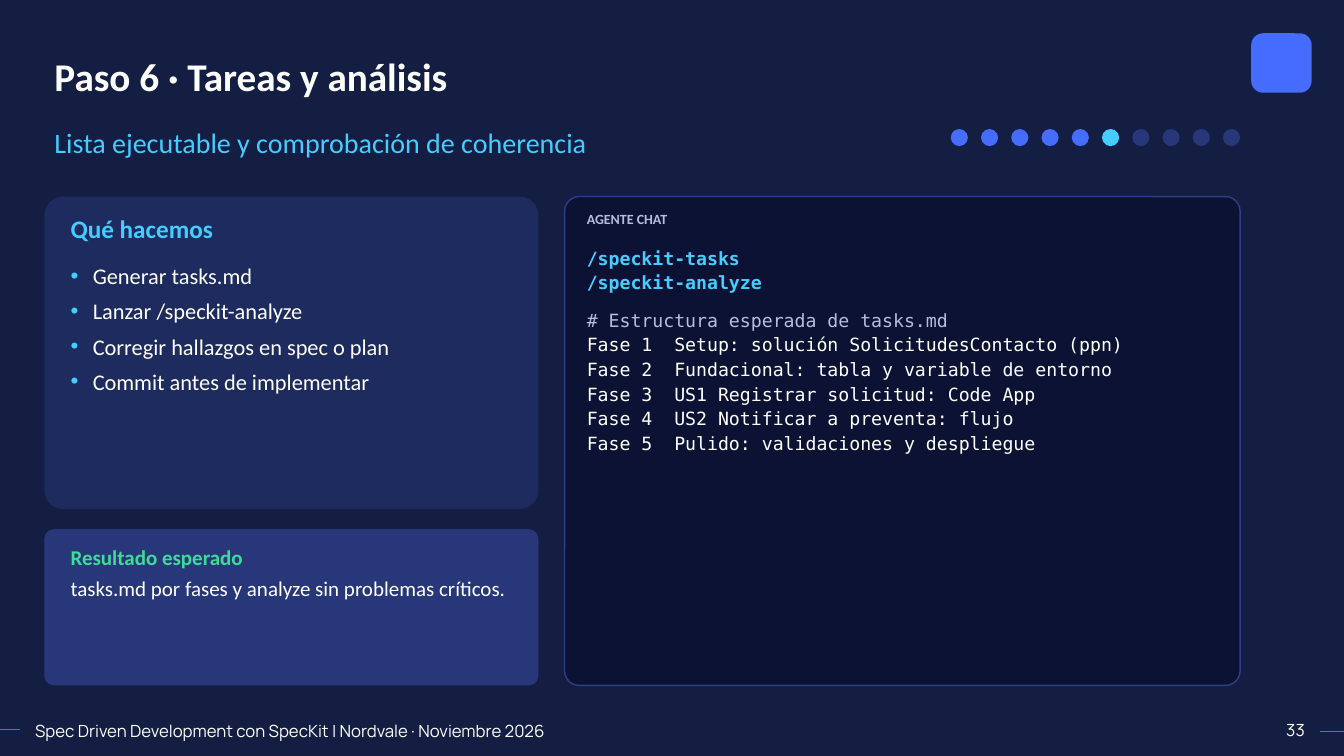
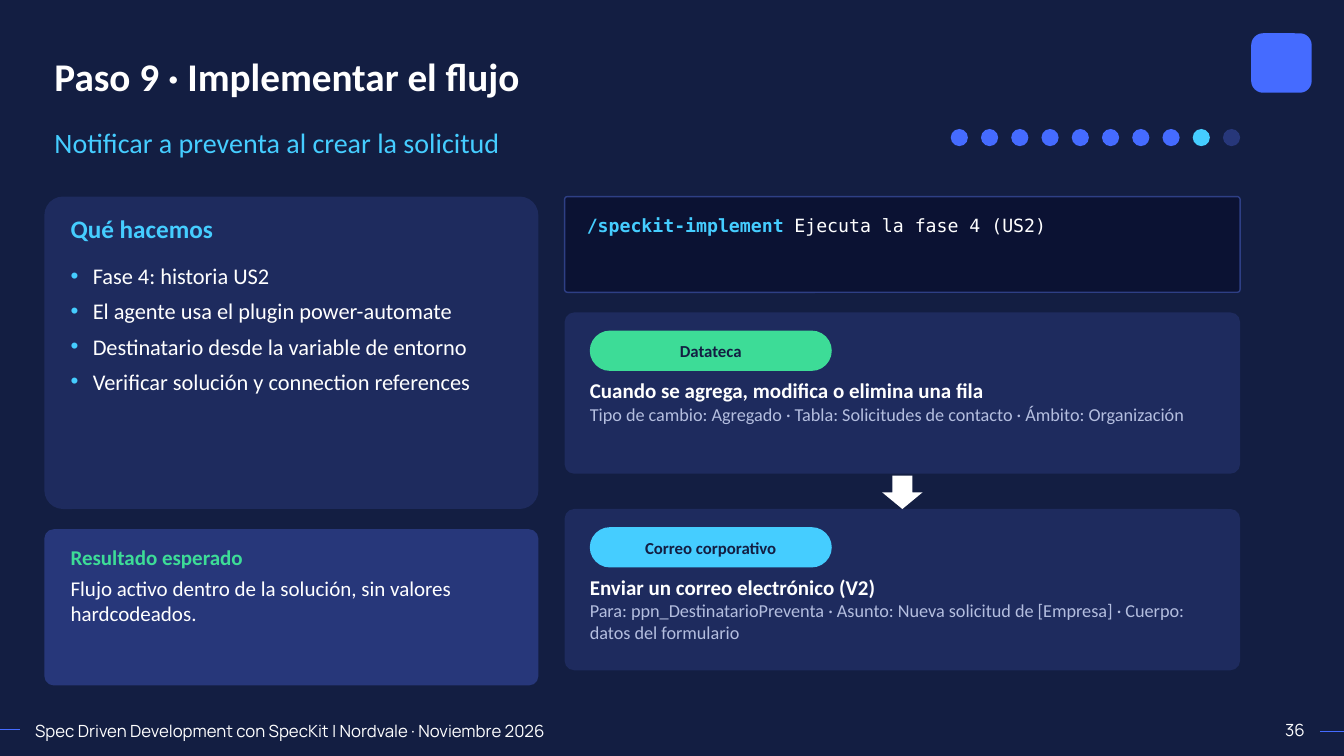
from lxml.etree import SubElement
from pptx import Presentation
from pptx.dml.color import RGBColor
from pptx.enum.shapes import MSO_CONNECTOR, MSO_SHAPE
from pptx.enum.text import MSO_ANCHOR, MSO_AUTO_SIZE, PP_ALIGN
from pptx.oxml.ns import qn
from pptx.util import Pt

PX = 9144  # 100 px to the inch
colour = RGBColor.from_string

# Palette
NIGHT, CARD, RESULT, CONSOLE, EDGE = "131E42", "1E2B5E", "27377A", "0B1233", "2E3F85"
BLUE, CYAN, GREEN, WHITE, MUTED = "456BFF", "45CDFF", "3DDC97", "FFFFFF", "B4BEDF"

# Text styles
TITLE = {"name": "Calibri", "size": 28, "color": WHITE, "bold": True}
SUBTITLE = {"name": "Calibri", "size": 20, "color": CYAN, "bold": False}
HEADING = {"name": "Calibri", "size": 18, "color": CYAN, "bold": True}
BULLET = {"name": "Calibri", "size": 16, "color": WHITE, "bold": False}
STRONG = {"name": "Calibri", "size": 15, "color": WHITE, "bold": True}
RESULT_TITLE = {**STRONG, "color": GREEN}
RESULT_TEXT = {**STRONG, "bold": False}
DETAIL = {"name": "Calibri", "size": 13, "color": MUTED, "bold": False}
PILL = {"name": "Calibri", "size": 12, "color": NIGHT, "bold": True}
CHAT_LABEL = {"name": "Calibri", "size": 10, "color": MUTED, "bold": True}
CODE = {"name": "DejaVu Sans Mono", "size": 13, "color": WHITE, "bold": False}
COMMAND = {**CODE, "color": CYAN, "bold": True}
REMARK = {**CODE, "color": MUTED}
FOOTER = {"name": "Manrope", "size": 12, "color": WHITE, "bold": False}

FOOTER_TEXT = "Spec Driven Development con SpecKit | Nordvale · Noviembre 2026"
STEP_COUNT = 10

# Slide content
STEPS = [
    {
        "step": 6,
        "number": "33",
        "title": "Paso 6 · Tareas y análisis",
        "subtitle": "Lista ejecutable y comprobación de coherencia",
        "tasks": [
            "Generar tasks.md",
            "Lanzar /speckit-analyze",
            "Corregir hallazgos en spec o plan",
            "Commit antes de implementar",
        ],
        "result": "tasks.md por fases y analyze sin problemas críticos.",
        "console_height": 485,
        "chat_label": "AGENTE CHAT",
        "code_area": (582, 245, 626, 423),
        "code": [
            ([("/speckit-tasks", COMMAND)], 2),
            ([("/speckit-analyze", COMMAND)], 11),
            ([("# Estructura esperada de tasks.md", REMARK)], 2),
            ([("Fase 1  Setup: solución SolicitudesContacto (ppn)", CODE)], 2),
            ([("Fase 2  Fundacional: tabla y variable de entorno", CODE)], 2),
            ([("Fase 3  US1 Registrar solicitud: Code App", CODE)], 2),
            ([("Fase 4  US2 Notificar a preventa: flujo", CODE)], 2),
            ([("Fase 5  Pulido: validaciones y despliegue", CODE)], 2),
        ],
        "flow": [],
    },
    {
        "step": 9,
        "number": "36",
        "title": "Paso 9 · Implementar el flujo",
        "subtitle": "Notificar a preventa al crear la solicitud",
        "tasks": [
            "Fase 4: historia US2",
            "El agente usa el plugin power-automate",
            "Destinatario desde la variable de entorno",
            "Verificar solución y connection references",
        ],
        "result": "Flujo activo dentro de la solución, sin valores hardcodeados.",
        "console_height": 95,
        "chat_label": None,
        "code_area": (582, 213, 626, 65),
        "code": [
            ([("/speckit-implement", COMMAND), (" Ejecuta la fase 4 (US2)", CODE)], 2),
        ],
        "flow": [
            ("Datateca", GREEN, "Cuando se agrega, modifica o elimina una fila",
             "Tipo de cambio: Agregado · Tabla: Solicitudes de contacto · Ámbito: Organización"),
            ("Correo corporativo", CYAN, "Enviar un correo electrónico (V2)",
             "Para: ppn_DestinatarioPreventa · Asunto: Nueva solicitud de [Empresa] · "
             "Cuerpo: datos del formulario"),
        ],
    },
]


def place(page, area, kind=None, fill=None, line=None, corner=None):
    """Add a text box, or a filled shape when a kind is given; area is in px."""
    area = [length * PX for length in area]
    if kind is None:
        return page.shapes.add_textbox(*area)
    box = page.shapes.add_shape(kind, *area)
    box.shadow.inherit = False
    box.fill.solid()
    box.fill.fore_color.rgb = colour(fill)
    if line:
        box.line.color.rgb = colour(line)
        box.line.width = Pt(1)
    else:
        box.line.fill.background()
    if corner is not None:
        box.adjustments[0] = corner
    return box


def write(box, paragraphs, margins=(0, 0, 0, 0), anchor=MSO_ANCHOR.TOP,
          align=PP_ALIGN.LEFT, bullet=None):
    """Fill a box with (spans, space after) paragraphs; a span is (text, style)."""
    frame = box.text_frame
    settings = {"word_wrap": True, "auto_size": MSO_AUTO_SIZE.NONE, "vertical_anchor": anchor}
    for side, margin in zip(("left", "top", "right", "bottom"), margins):
        settings[f"margin_{side}"] = margin * PX
    for name, value in settings.items():
        setattr(frame, name, value)
    for index, (spans, space_after) in enumerate(paragraphs):
        para = frame.add_paragraph() if index else frame.paragraphs[0]
        properties = para._p.get_or_add_pPr()
        indent = 22 * PX if bullet else 0
        properties.set("marL", str(indent))
        properties.set("indent", str(-indent))
        if bullet:
            bullet_colour = SubElement(properties, qn("a:buClr"))
            SubElement(bullet_colour, qn("a:srgbClr"), val=bullet)
            SubElement(properties, qn("a:buChar"), char="•")
        else:
            SubElement(properties, qn("a:buNone"))
        layout_values = {"alignment": align, "space_before": Pt(0), "space_after": Pt(space_after)}
        for name, value in layout_values.items():
            setattr(para, name, value)
        for text, style in spans:
            span = para.add_run()
            span.text = text
            span.font.color.rgb = colour(style["color"])
            for name, value in {**style, "size": Pt(style["size"])}.items():
                if name != "color":
                    setattr(span.font, name, value)


# Shared template: size, background and placeholder positions
deck = Presentation()
deck.slide_width, deck.slide_height = 1333 * PX, 750 * PX
background = deck.slide_master.background.fill
background.solid()
background.fore_color.rgb = colour(NIGHT)
layout = deck.slide_layouts.get_by_name("Two Content")
PLACEHOLDER_AREAS = {0: (44, 33, 1186, 84), 1: (44, 119, 1186, 37), 2: (70, 260, 445, 235)}
for holder in layout.placeholders:
    area = PLACEHOLDER_AREAS.get(holder.placeholder_format.idx)
    if area:
        for name, length in zip(("left", "top", "width", "height"), area):
            setattr(holder, name, length * PX)

TEXT_MARGINS = (10, 5, 10, 5)

for step in STEPS:
    page = deck.slides.add_slide(layout)

    # Footer and corner mark
    for start, end, y in ((1309, 1333, 726), (0, 20, 724)):
        rule = page.shapes.add_connector(
            MSO_CONNECTOR.STRAIGHT, start * PX, y * PX, end * PX, y * PX)
        rule.line.color.rgb = colour(BLUE)
        rule.line.width = Pt(0.5)
        SubElement(rule._element.spPr, qn("a:effectLst"))
    write(place(page, (25, 710, 743, 23)), [([(FOOTER_TEXT, FOOTER)], 0)], TEXT_MARGINS)
    write(place(page, (1244, 709, 60, 24)), [([(step["number"], FOOTER)], 0)],
          TEXT_MARGINS, align=PP_ALIGN.RIGHT)
    place(page, (1241, 33, 60, 59), MSO_SHAPE.ROUNDED_RECTANGLE, BLUE, corner=0.2)

    # Title and subtitle
    write(page.shapes.title, [([(step["title"], TITLE)], 0)], TEXT_MARGINS, MSO_ANCHOR.MIDDLE)
    write(page.placeholders[1], [([(step["subtitle"], SUBTITLE)], 0)], TEXT_MARGINS)

    # Progress dots
    for dot in range(1, STEP_COUNT + 1):
        shade = BLUE if dot < step["step"] else CYAN if dot == step["step"] else RESULT
        place(page, (913 + 30 * dot, 128, 17, 17), MSO_SHAPE.OVAL, shade)

    # Task card, with its list brought in front of it
    place(page, (44, 195, 490, 310), MSO_SHAPE.ROUNDED_RECTANGLE, CARD, corner=0.06)
    write(place(page, (70, 212, 440, 40)), [([("Qué hacemos", HEADING)], 0)])
    task_list = page.placeholders[2]
    page.shapes._spTree.append(task_list._element)
    write(task_list, [([(task, BULLET)], 6) for task in step["tasks"]], bullet=CYAN)

    # Expected result
    place(page, (44, 525, 490, 155), MSO_SHAPE.ROUNDED_RECTANGLE, RESULT, corner=0.06)
    write(place(page, (70, 540, 440, 125)),
          [([("Resultado esperado", RESULT_TITLE)], 4), ([(step["result"], RESULT_TEXT)], 0)])

    # Console
    place(page, (560, 195, 670, step["console_height"]), MSO_SHAPE.ROUNDED_RECTANGLE,
          CONSOLE, EDGE, 0.03)
    if step["chat_label"]:
        write(place(page, (582, 209, 626, 30)), [([(step["chat_label"], CHAT_LABEL)], 0)])
    write(place(page, step["code_area"]), step["code"])

    # Flow cards, with an arrow before each card after the first
    for index, (connector, shade, action, detail) in enumerate(step["flow"]):
        top = 310 + 195 * index
        place(page, (560, top, 670, 160), MSO_SHAPE.ROUNDED_RECTANGLE, CARD, corner=0.06)
        pill = place(page, (585, top + 18, 240, 40), MSO_SHAPE.ROUNDED_RECTANGLE,
                     shade, corner=0.5)
        write(pill, [([(connector, PILL)], 0)], (5, 2, 5, 2), MSO_ANCHOR.MIDDLE,
              PP_ALIGN.CENTER)
        write(place(page, (585, top + 65, 620, 90)),
              [([(action, STRONG)], 0), ([(detail, DETAIL)], 0)])
        if index:
            place(page, (875, top - 33, 40, 33), MSO_SHAPE.DOWN_ARROW, WHITE)

deck.save("out.pptx")
